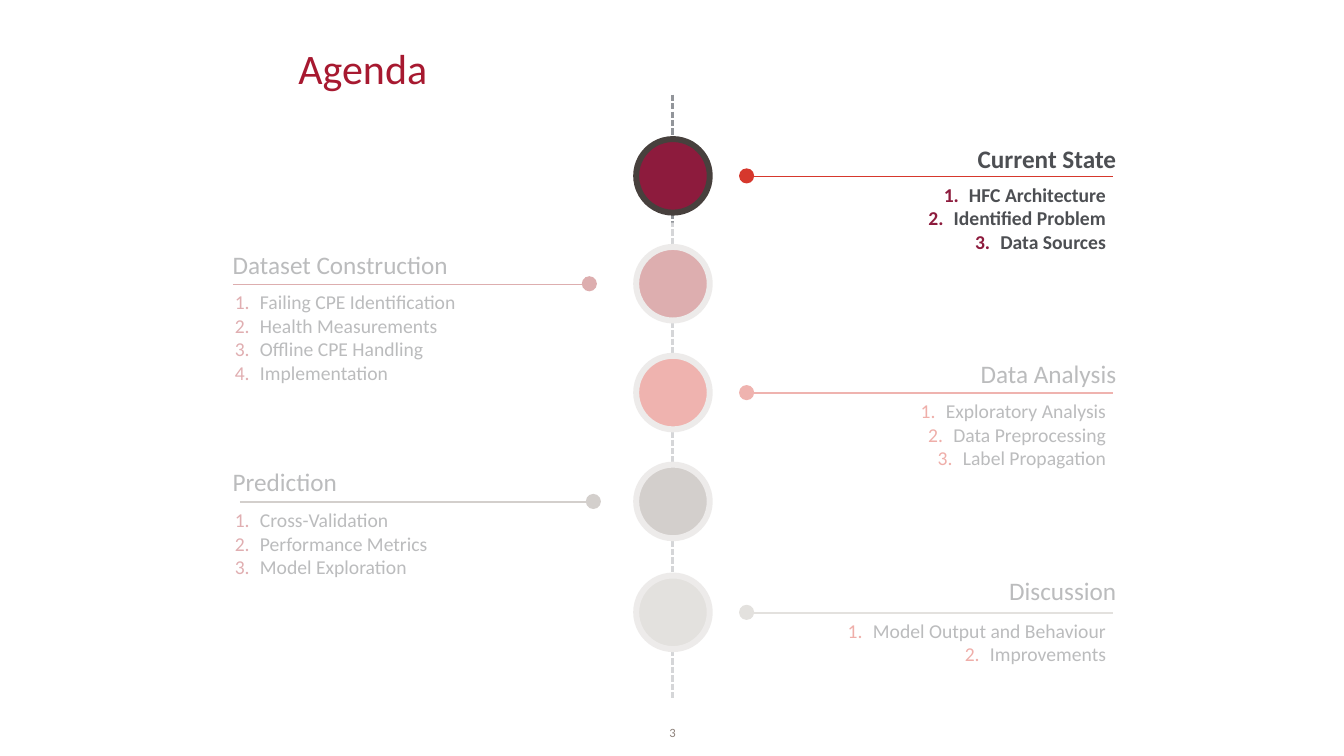
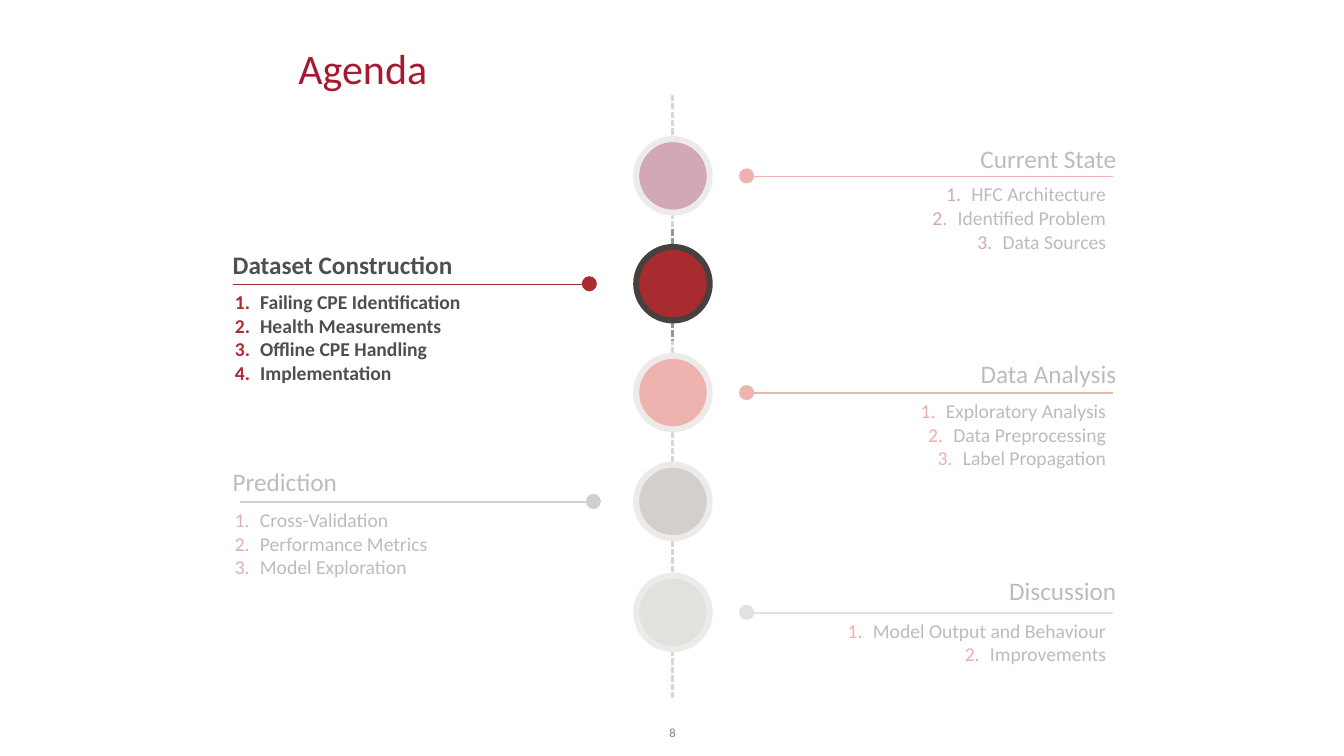
from dataclasses import dataclass

from lxml.etree import SubElement
from pptx import Presentation
from pptx.dml.color import RGBColor
from pptx.enum.dml import MSO_LINE
from pptx.enum.shapes import MSO_CONNECTOR, MSO_SHAPE
from pptx.enum.text import MSO_ANCHOR, MSO_AUTO_SIZE, PP_ALIGN
from pptx.oxml.ns import qn
from pptx.util import Emu, Pt

TITLE_RED = RGBColor(0xA7, 0x19, 0x30)
WINE = RGBColor(0x8D, 0x1B, 0x3D)
BRICK = RGBColor(0xA8, 0x2B, 0x2F)
BRICK_NUMBER = RGBColor(0xAF, 0x2B, 0x32)
VERMILION = RGBColor(0xD6, 0x38, 0x2D)
VERMILION_NUMBER = RGBColor(0xD5, 0x2B, 0x1E)
TAUPE = RGBColor(0x8D, 0x81, 0x7A)
SAND = RGBColor(0xB7, 0xB1, 0xA9)
TEXT_GREY = RGBColor(0x4D, 0x4F, 0x53)
AXIS_GREY = RGBColor(0x92, 0x95, 0x9A)
RING_PALE = RGBColor(0xD1, 0xCD, 0xCA)
RING_DARK = RGBColor(0x47, 0x40, 0x3D)
WHITE = RGBColor(0xFF, 0xFF, 0xFF)

AXIS_X = 667
MILESTONE = 73
DOT = 15


@dataclass
class Section:
    """One agenda entry: its place on the axis, colours and topics."""

    heading: str
    center: int
    heading_top: int
    milestone: RGBColor
    accent: RGBColor
    number: RGBColor
    rule: tuple
    dot_left: int
    topics: tuple

    @property
    def on_right(self):
        """Tell whether the entry stands to the right of the axis."""
        return self.dot_left > AXIS_X


LEFT_RULE, RIGHT_RULE = (231, 577), (742, 1104)
SECTIONS = (
    Section("Current State", 175, 137, WINE, VERMILION, WINE, RIGHT_RULE, 733,
            ("HFC Architecture", "Identified Problem", "Data Sources")),
    Section("Dataset Construction", 282, 242, BRICK, BRICK, BRICK_NUMBER, LEFT_RULE, 577,
            ("Failing CPE Identification", "Health Measurements",
             "Offline CPE Handling", "Implementation")),
    Section("Data Analysis", 390, 351, VERMILION, VERMILION, VERMILION_NUMBER, RIGHT_RULE, 733,
            ("Exploratory Analysis", "Data Preprocessing", "Label Propagation")),
    Section("Prediction", 498, 458, TAUPE, TAUPE, BRICK_NUMBER, (238, 586), 581,
            ("Cross-Validation", "Performance Metrics", "Model Exploration")),
    Section("Discussion", 608, 566, SAND, SAND, VERMILION_NUMBER, RIGHT_RULE, 733,
            ("Model Output and Behaviour", "Improvements")),
)

AGENDAS = (
    ("3", "Current State", ((221, 221, 504, 490), (725, 274, 503, 437))),
    ("8", "Dataset Construction", ((221, 450, 388, 261), (725, 94, 503, 617),
                                   (609, 338, 116, 374), (610, 94, 116, 132))),
)


class AgendaDeck:
    """Agenda style together with the slide being drawn."""

    FONT = "Calibri"
    SCALE = 9144

    def __init__(self):
        """Start an empty widescreen presentation."""
        self.presentation = Presentation()
        self.presentation.slide_width = self.px(1333)
        self.presentation.slide_height = self.px(750)
        self.slide = None

    def px(self, length):
        """Turn px into EMU."""
        return Emu(length * self.SCALE)

    def start_slide(self, title, number):
        """Add a slide with its title and page number."""
        layout = self.presentation.slide_layouts[1]
        self.slide = self.presentation.slides.add_slide(layout)
        heading = self.slide.shapes.title
        self.place(heading, (296, 21, 991, 71))
        self.set_text(heading, (title,), 30, TITLE_RED, anchor=MSO_ANCHOR.BOTTOM, inset=0)
        self.label((637, 711, 60, 23), number, 9, TAUPE, align=PP_ALIGN.CENTER,
                   anchor=MSO_ANCHOR.BOTTOM, inset=0)

    def place(self, shape, box):
        """Move and size a shape."""
        shape.left, shape.top, shape.width, shape.height = map(self.px, box)

    def set_text(self, shape, lines, size, color, bold=False, align=PP_ALIGN.LEFT,
                 anchor=MSO_ANCHOR.TOP, inset=None, number=None):
        """Fill a shape with paragraphs, numbered if a number colour is given."""
        frame = shape.text_frame
        frame.word_wrap = True
        frame.auto_size = MSO_AUTO_SIZE.NONE
        frame.vertical_anchor = anchor
        if inset is not None:
            frame.margin_left = frame.margin_right = self.px(inset)
            frame.margin_top = frame.margin_bottom = self.px(inset)
        for index, line in enumerate(lines):
            paragraph = frame.add_paragraph() if index else frame.paragraphs[0]
            paragraph.alignment = align
            paragraph.space_before = Pt(0)
            if number is not None:
                self.number_paragraph(paragraph, number)
            run = paragraph.add_run()
            run.text = line
            run.font.name = self.FONT
            run.font.size = Pt(size)
            run.font.bold = bold
            run.font.color.rgb = color

    def number_paragraph(self, paragraph, color):
        """Give a paragraph a coloured automatic number and hanging indent."""
        properties = paragraph._p.get_or_add_pPr()
        properties.set("marL", str(self.px(25)))
        properties.set("indent", str(self.px(-25)))
        number_color = SubElement(properties, qn("a:buClr"))
        SubElement(number_color, qn("a:srgbClr"), val=str(color))
        SubElement(properties, qn("a:buFont"), typeface=self.FONT)
        SubElement(properties, qn("a:buAutoNum"), type="arabicPeriod")

    def label(self, box, line, size, color, **style):
        """Add a single-line text box."""
        label = self.slide.shapes.add_textbox(*map(self.px, box))
        self.set_text(label, (line,), size, color, **style)

    def topic_list(self, box, topics, number, active, align):
        """Add a numbered list, the active one in the body placeholder."""
        if active:
            holder = self.slide.placeholders[1]
            self.place(holder, box)
        else:
            holder = self.slide.shapes.add_textbox(*map(self.px, box))
        self.set_text(holder, topics, 14, TEXT_GREY, bold=active, align=align, number=number)

    def line(self, start, end, color, width, dash=None):
        """Draw a straight line."""
        line = self.slide.shapes.add_connector(
            MSO_CONNECTOR.STRAIGHT, *map(self.px, start + end))
        line.line.color.rgb = color
        line.line.width = Pt(width)
        if dash is not None:
            line.line.dash_style = dash
        SubElement(line._element.spPr, qn("a:effectLst"))

    def shape(self, kind, box, fill, ring=None):
        """Draw a filled shape, ringed if a ring colour is given."""
        shape = self.slide.shapes.add_shape(kind, *map(self.px, box))
        shape.shadow.inherit = False
        shape.fill.solid()
        shape.fill.fore_color.rgb = fill
        if ring is None:
            shape.line.fill.background()
        else:
            shape.line.color.rgb = ring
            shape.line.width = Pt(4.25)
        return shape

    def circle(self, left, center, size, fill, ring=None):
        """Draw a circle around a vertical centre."""
        box = (left, center - (size + 1) // 2, size, size)
        self.shape(MSO_SHAPE.OVAL, box, fill, ring)

    def veil(self, box):
        """Fade an area with translucent white."""
        veil = self.shape(MSO_SHAPE.RECTANGLE, box, WHITE)
        color = veil._element.spPr.find(qn("a:solidFill")).find(qn("a:srgbClr"))
        SubElement(color, qn("a:alpha"), val="62000")

    def section(self, section, active):
        """Draw a milestone with its rule, heading and topics."""
        center = section.center
        if section.on_right:
            align, heading_x, list_x = PP_ALIGN.RIGHT, (726, 391), (814, 293)
        else:
            align, heading_x, list_x = PP_ALIGN.LEFT, (221, 370), (223, 279)
        self.circle(631, center, MILESTONE, section.milestone,
                    RING_DARK if active else RING_PALE)
        rule_start, rule_end = section.rule
        self.line((rule_start, center), (rule_end, center), section.accent, 1)
        self.circle(section.dot_left, center, DOT, section.accent)
        self.label((heading_x[0], section.heading_top, heading_x[1], 40),
                   section.heading, 18, TEXT_GREY, bold=active, align=align)
        list_box = (list_x[0], center + 1, list_x[1], 12 + 23 * len(section.topics))
        self.topic_list(list_box, section.topics, section.number, active, align)

    def agenda(self, number, current, veils):
        """Draw the agenda with one section highlighted."""
        self.start_slide("Agenda", number)
        self.line((AXIS_X, 94), (AXIS_X, 692), AXIS_GREY, 1.5, MSO_LINE.SQUARE_DOT)
        for section in SECTIONS:
            self.section(section, section.heading == current)
        for box in veils:
            self.veil(box)


def main():
    """Build and save the agenda slides."""
    deck = AgendaDeck()
    for agenda in AGENDAS:
        deck.agenda(*agenda)
    deck.presentation.save("out.pptx")


if __name__ == "__main__":
    main()
